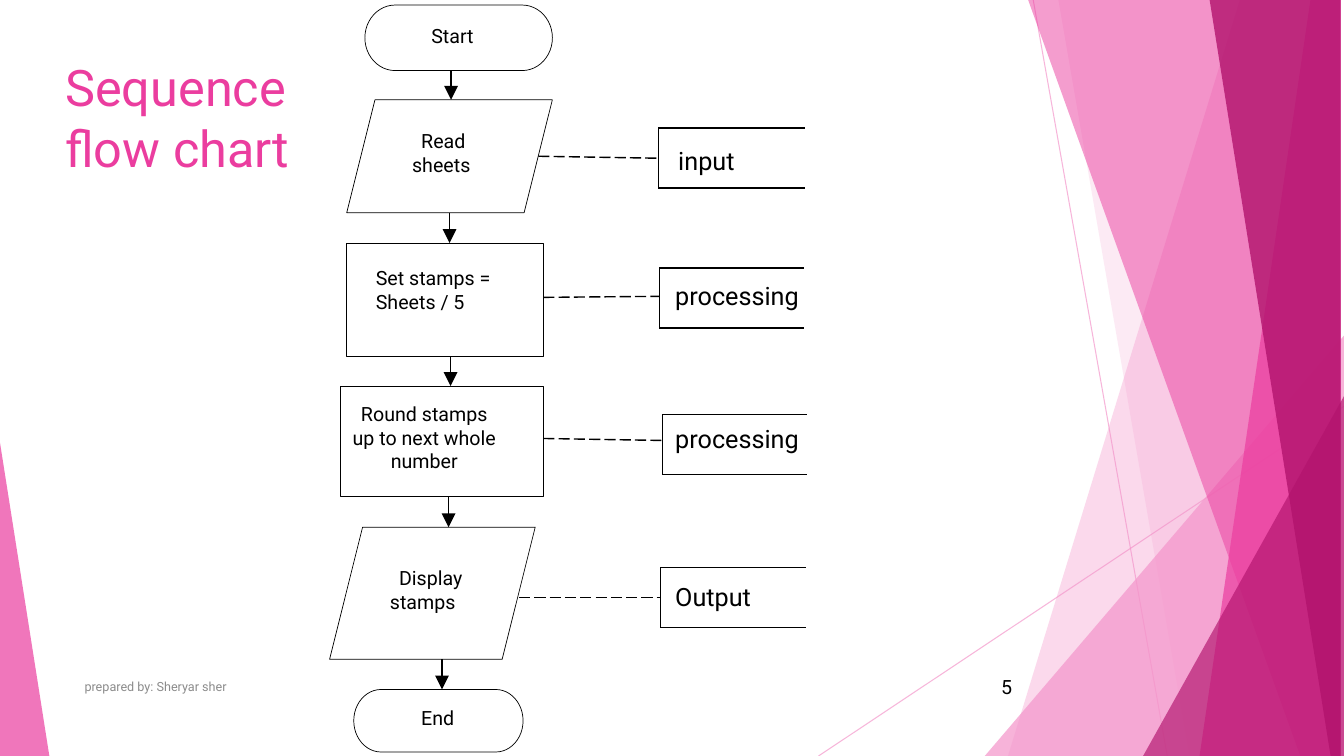
"""Build the slide that explains a sequence flow chart."""
from lxml import etree
from pptx import Presentation
from pptx.dml.color import RGBColor
from pptx.enum.dml import MSO_LINE
from pptx.enum.shapes import MSO_CONNECTOR, MSO_SHAPE
from pptx.enum.text import MSO_ANCHOR, PP_ALIGN
from pptx.oxml.ns import qn
from pptx.util import Inches, Pt

STRAIGHT = MSO_CONNECTOR.STRAIGHT
LONG_DASH = MSO_LINE.LONG_DASH
TERMINATOR = MSO_SHAPE.FLOWCHART_TERMINATOR
PARALLELOGRAM = MSO_SHAPE.PARALLELOGRAM
RECTANGLE = MSO_SHAPE.RECTANGLE
TRIANGLE = MSO_SHAPE.ISOSCELES_TRIANGLE
TOP, MIDDLE = MSO_ANCHOR.TOP, MSO_ANCHOR.MIDDLE
LEFT, CENTER, RIGHT = PP_ALIGN.LEFT, PP_ALIGN.CENTER, PP_ALIGN.RIGHT

THEME = {
    "font": "Roboto", "title": 36, "label": 18, "body": 14, "footer": 9,
    "ink": "000000", "paper": "FFFFFF", "grey": "8C8C8C",
    "pale": "F496CB", "pink": "EB3D9F", "plum": "B2136D",
}
COLUMNS, ROWS = 133.33, 75

presentation = Presentation()
presentation.slide_width = Inches(13.33)
presentation.slide_height = Inches(7.5)
slide = presentation.slides.add_slide(presentation.slide_layouts[6])
shapes = slide.shapes
COLUMN = presentation.slide_width / COLUMNS
ROW = presentation.slide_height / ROWS


def write(text, left, top, width, height, size="body", color="ink",
          align=LEFT, anchor=TOP, first_indent=0, first_right=0):
    """Add a text box; the first paragraph may be shifted by grid columns."""
    box = shapes.add_textbox(int(left * COLUMN), int(top * ROW),
                             int(width * COLUMN), int(height * ROW))
    frame = box.text_frame
    frame.word_wrap = True
    frame.vertical_anchor = anchor
    frame.text = text
    for paragraph in frame.paragraphs:
        paragraph.alignment = align
        font = paragraph.runs[0].font
        font.name = THEME["font"]
        font.size = Pt(THEME[size])
        font.color.rgb = RGBColor.from_string(THEME[color])
    properties = frame.paragraphs[0]._p.get_or_add_pPr()
    properties.set("indent", str(int(first_indent * COLUMN)))
    properties.set("marR", str(int(first_right * COLUMN)))


def draw_line(start, end, color="ink", weight=1, dash=None, opacity=100, arrow=False):
    """Add a straight connector between two grid points."""
    connector = shapes.add_connector(
        STRAIGHT, int(start[0] * COLUMN), int(start[1] * ROW),
        int(end[0] * COLUMN), int(end[1] * ROW))
    line = connector.line
    line.color.rgb = RGBColor.from_string(THEME[color])
    line.width = Pt(weight)
    if dash:
        line.dash_style = dash
    properties = connector._element.spPr
    if opacity < 100:
        tint = properties.find(".//" + qn("a:srgbClr"))
        etree.SubElement(tint, qn("a:alpha"), val=str(opacity * 1000))
    if arrow:
        etree.SubElement(properties.find(qn("a:ln")), qn("a:tailEnd"),
                         type="triangle", w="lg", len="lg")
    etree.SubElement(properties, qn("a:effectLst"))


draw_line((102.5, 0), (115.8, ROWS), color="pale", weight=0.75, opacity=70)
draw_line((COLUMNS, 40.3), (81.2, ROWS), color="pale", weight=0.75, opacity=70)

bands = [
    ("band", (122.8, 100.4), "pale", 36),
    ("band", (105, 118.3), "pale", 20),
    ("triangle", (97.7, 33.3, 35.63, 1), "pale", 72),
    ("band", (102.1, 129.1), "pink", 50),
    ("band", (130.3, 119.2), "pink", 70),
    ("band", (119.6, 131.8), "plum", 80),
    ("triangle", (113.4, 39.3, 19.93, 1), "plum", 66),
    ("triangle", (0, 43.9, 4.9, 0), "pink", 70),
]
for kind, place, color, opacity in bands:
    if kind == "band":
        top_left, bottom_left = place
        outline = shapes.build_freeform(top_left, 0, scale=(COLUMN, ROW))
        outline.add_line_segments([(COLUMNS, 0), (COLUMNS, ROWS), (bottom_left, ROWS)])
        facet = outline.convert_to_shape()
    else:
        left, top, width, apex = place
        facet = shapes.add_shape(TRIANGLE, int(left * COLUMN), int(top * ROW),
                                 int(width * COLUMN), int((ROWS - top) * ROW))
        facet.adjustments[0] = apex
    facet.shadow.inherit = False
    facet.line.fill.background()
    facet.fill.solid()
    facet.fill.fore_color.rgb = RGBColor.from_string(THEME[color])
    tint = facet._element.spPr.find(".//" + qn("a:srgbClr"))
    etree.SubElement(tint, qn("a:alpha"), val=str(opacity * 1000))

write("Sequence flow chart", 5.5, 5.1, 27.9, 14.4, size="title", color="pink")
write("prepared by: Sheryar sher", 7.4, 66.1, 68.9, 4,
      size="footer", color="grey", anchor=MIDDLE)
write("5", 93.9, 66.1, 7.5, 4, align=RIGHT, anchor=MIDDLE)

steps = [
    (TERMINATOR, (36.2, 0.5, 18.6, 6.5), 0.5,
     "Start", (41.8, 1.9, 12.1, 3.4), {}),
    (PARALLELOGRAM, (34.4, 9.9, 20.4, 11.2), 0.5,
     "Read\nsheets", (39.9, 12.3, 12.7, 5.7), {"first_indent": 0.9}),
    (RECTANGLE, (34.4, 24.1, 19.5, 11.3), 0.5,
     "Set stamps =\nSheets / 5", (36.3, 25.9, 16.6, 5.7), {}),
    (RECTANGLE, (33.8, 38.3, 20.1, 11), 0.75,
     "Round stamps\nup to next whole number", (33.5, 39.4, 20.5, 8.1),
     {"align": CENTER, "first_right": 3.3}),
    (PARALLELOGRAM, (32.7, 52.3, 20.4, 13.1), 0.5,
     "Display\nstamps", (37.7, 55.7, 12.7, 5.7), {"first_indent": 0.9}),
    (TERMINATOR, (35.1, 68.4, 16.8, 6.2), 0.5,
     "End", (40.8, 69.5, 12.7, 3.4), {}),
]
for kind, (left, top, width, height), weight, text, text_place, text_format in steps:
    step = shapes.add_shape(kind, int(left * COLUMN), int(top * ROW),
                            int(width * COLUMN), int(height * ROW))
    step.shadow.inherit = False
    step.fill.solid()
    step.fill.fore_color.rgb = RGBColor.from_string(THEME["paper"])
    step.line.color.rgb = RGBColor.from_string(THEME["ink"])
    step.line.width = Pt(weight)
    write(text, *text_place, **text_format)

arrow_columns = [44.75, 44.6, 44.7, 44.5, 43.85]
for column, upper, lower in zip(arrow_columns, steps, steps[1:]):
    upper_top, upper_height = upper[1][1], upper[1][3]
    draw_line((column, upper_top + upper_height), (column, lower[1][1]), arrow=True)

BRACKET_HEIGHT = 5.95
notes = [
    ("input", (66.3, 13.9), (65.3, 12.7, 79.9), (53.4, 15.5), 15.7),
    ("processing", (66, 27.3), (65.4, 26.6, 79.8), (53.9, 29.5), 29.4),
    ("processing", (66, 41.5), (65.7, 41.1, 80.1), (53.9, 43.5), 43.7),
    ("Output", (66, 57.2), (65.5, 56.3, 80), (51.5, 59.3), 59.3),
]
for text, (text_left, text_top), (spine, top, right), dash_start, dash_end in notes:
    bottom = top + BRACKET_HEIGHT
    draw_line(dash_start, (spine, dash_end), dash=LONG_DASH)
    draw_line((spine, top), (spine, bottom))
    for edge in (top, bottom):
        draw_line((spine, edge), (right, edge))
    write(text, text_left, text_top, 15, 4, size="label")

presentation.save("out.pptx")
